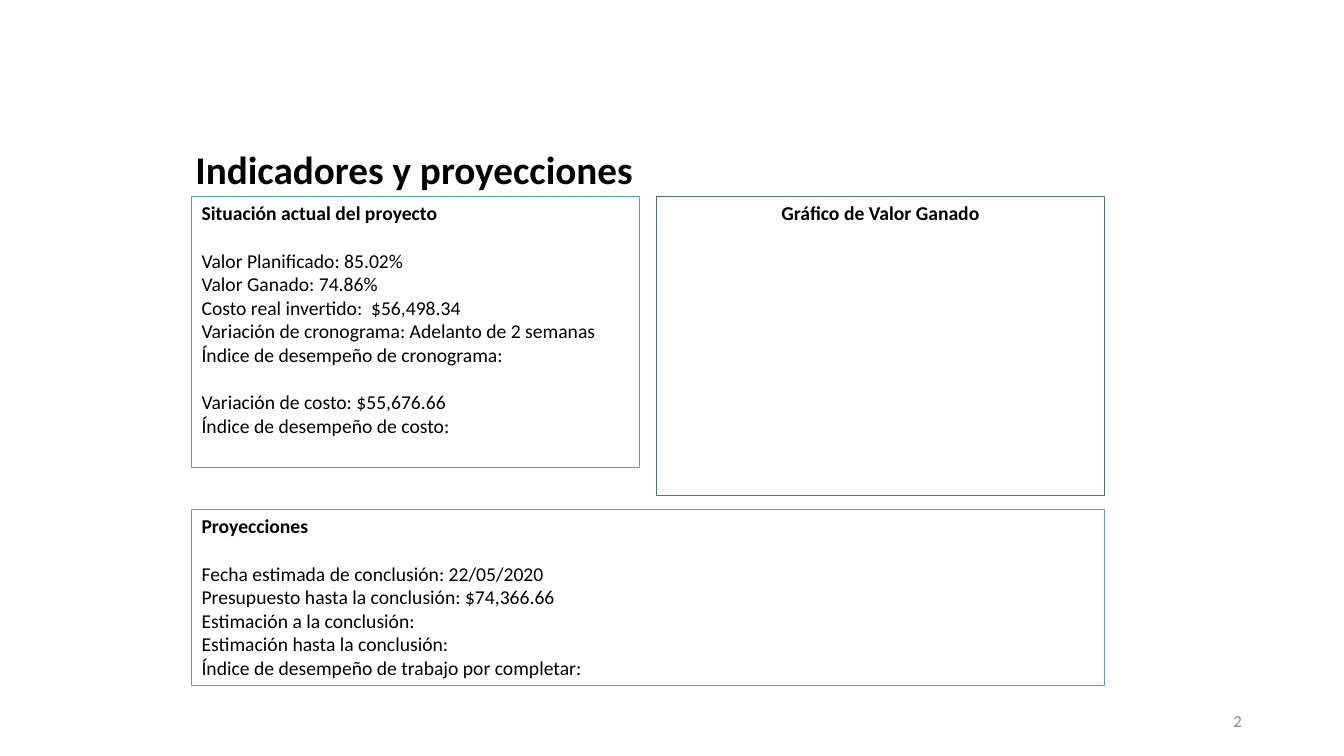
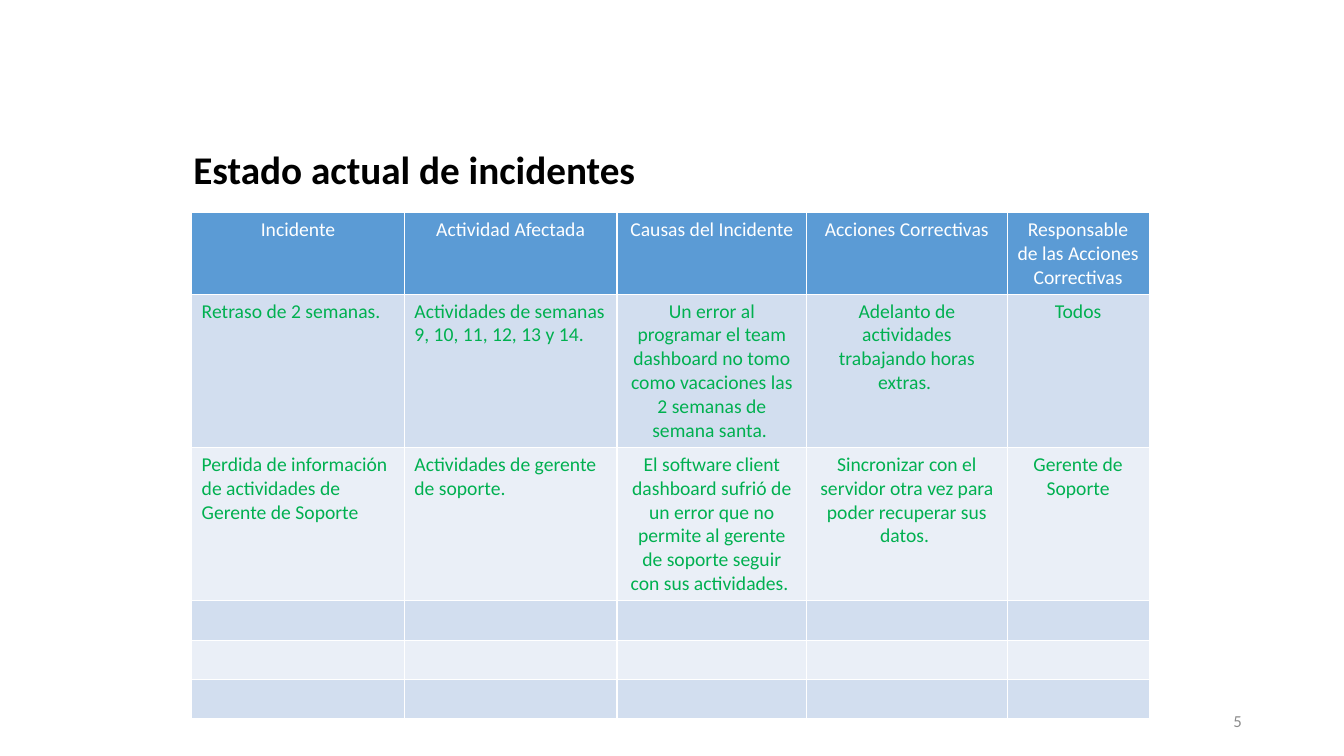
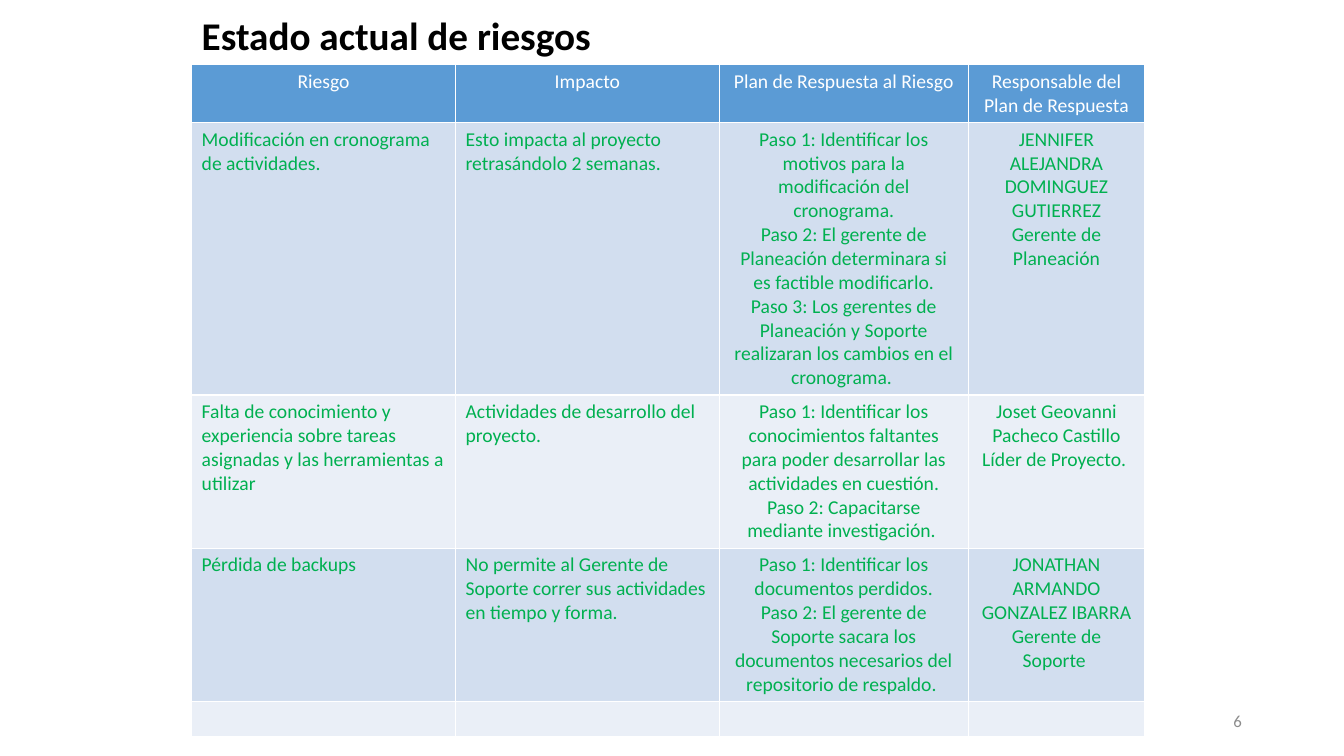
from lxml import etree
from pptx import Presentation
from pptx import util as u
from pptx.dml.color import RGBColor
from pptx.enum import shapes, text
from pptx.oxml.ns import qn

FONT = "Calibri"
COLORS = {
    "text": "000000", "number": "8C8C8C", "white": "FFFFFF", "entry": "00B050",
    "header": "5B9BD5", "odd": "D2DEEF", "even": "EAEFF7", "chart_line": "43739E",
}
LEFT = 4.83
BOX_WIDTH, BOX_GAP = 11.3, 0.41
LEFT_COLUMNS = 2

SITUATION = [
    ["Situación actual del proyecto"],
    ["Valor Planificado: 85.02%",
     "Valor Ganado: 74.86%",
     "Costo real invertido:  $56,498.34 ",
     "Variación de cronograma: Adelanto de 2 semanas",
     "Índice de desempeño de cronograma:"],
    ["Variación de costo: $55,676.66",
     "Índice de desempeño de costo:"],
]
PROJECTIONS = [
    ["Proyecciones"],
    ["Fecha estimada de conclusión: 22/05/2020",
     "Presupuesto hasta la conclusión: $74,366.66",
     "Estimación a la conclusión:",
     "Estimación hasta la conclusión:",
     "Índice de desempeño de trabajo por completar:"],
]
EARNED_VALUE = [["Gráfico de Valor Ganado"]]

BOXES = [
    (SITUATION, (LEFT, 4.95, BOX_WIDTH, 6.83), "header", 0.75, "LEFT"),
    (PROJECTIONS, (LEFT, 12.83, 2 * BOX_WIDTH + BOX_GAP, 4.45), "header", 0.75, "LEFT"),
    (EARNED_VALUE, (LEFT + BOX_WIDTH + BOX_GAP, 4.95, BOX_WIDTH, 7.54), "chart_line", 0.25, "CENTER"),
]

INCIDENTS = {
    "top": 5.36,
    "columns": [5.36, 5.36, 4.78, 5.05, 3.58],
    "heights": [2.05, 3.85, 3.85, 0.99, 0.99, 0.99],
    "rows": [
        ["Incidente", "Actividad Afectada", "Causas del Incidente", "Acciones Correctivas",
         "Responsable de las Acciones Correctivas"],
        ["Retraso de 2 semanas.",
         "Actividades de semanas 9, 10, 11, 12, 13 y 14.",
         "Un error al programar el team dashboard no tomo como vacaciones las 2 semanas de semana santa. ",
         "Adelanto de actividades trabajando horas extras. ",
         "Todos"],
        ["Perdida de información de actividades de Gerente de Soporte ",
         "Actividades de gerente de soporte. ",
         "El software client dashboard sufrió de un error que no permite al gerente de soporte "
         "seguir con sus actividades. ",
         "Sincronizar con el servidor otra vez para poder recuperar sus datos. ",
         "Gerente de Soporte"],
    ],
}
RISKS = {
    "top": 1.63,
    "columns": [6.65, 6.65, 6.27, 4.45],
    "heights": [1.45, 6.85, 3.85, 3.85, 0.89],
    "rows": [
        ["Riesgo", "Impacto", "Plan de Respuesta al Riesgo", "Responsable del Plan de Respuesta"],
        ["Modificación en cronograma de actividades.",
         "Esto impacta al proyecto retrasándolo 2 semanas.",
         "Paso 1: Identificar los motivos para la modificación del cronograma.\n"
         "Paso 2: El gerente de Planeación determinara si es factible modificarlo.\n"
         "Paso 3: Los gerentes de Planeación y Soporte realizaran los cambios en el cronograma. ",
         "JENNIFER ALEJANDRA DOMINGUEZ GUTIERREZ\nGerente de Planeación"],
        ["Falta de conocimiento y experiencia sobre tareas asignadas y las herramientas a utilizar",
         "Actividades de desarrollo del proyecto. ",
         "Paso 1: Identificar los conocimientos faltantes para poder desarrollar las actividades en cuestión.\n"
         "Paso 2: Capacitarse mediante investigación. ",
         "Joset Geovanni Pacheco Castillo\nLíder de Proyecto. "],
        ["Pérdida de backups",
         "No permite al Gerente de Soporte correr sus actividades en tiempo y forma.",
         "Paso 1: Identificar los documentos perdidos.\n"
         "Paso 2: El gerente de Soporte sacara los documentos necesarios del repositorio de respaldo. ",
         "JONATHAN ARMANDO GONZALEZ IBARRA Gerente de Soporte "],
    ],
}


def color(name):
    return RGBColor.from_string(COLORS[name])


def add_paragraph(frame, index, words, size=14, ink="text", bold=False, align="LEFT"):
    paragraph = frame.add_paragraph() if index else frame.paragraphs[0]
    paragraph.alignment = text.PP_ALIGN[align]
    if not words:
        etree.SubElement(paragraph._p, qn("a:endParaRPr"), sz=str(size * 100))
        return paragraph
    run = paragraph.add_run()
    run.text = words
    run.font.name = FONT
    run.font.size = u.Pt(size)
    run.font.bold = bold
    run.font.color.rgb = color(ink)
    return paragraph


def setup_frame(shape, anchor):
    frame = shape.text_frame
    frame.word_wrap = True
    frame.auto_size = text.MSO_AUTO_SIZE.NONE
    frame.vertical_anchor = anchor
    return frame


def add_slide(title, left, top, number):
    slide = presentation.slides.add_slide(presentation.slide_layouts[5])
    heading = slide.shapes.title
    heading.left, heading.top, heading.width, heading.height = map(u.Cm, (left, top, 21.59, 0.99))
    frame = setup_frame(heading, text.MSO_ANCHOR.MIDDLE)
    add_paragraph(frame, 0, title, 28, bold=True)
    page = slide.shapes.add_textbox(*map(u.Cm, (23.93, 17.65, 7.62, 1.02)))
    frame = setup_frame(page, text.MSO_ANCHOR.MIDDLE)
    add_paragraph(frame, 0, number, 12, "number", align="RIGHT")
    return slide


def add_box(slide, groups, place, line, weight, align):
    box = slide.shapes.add_shape(shapes.MSO_SHAPE.RECTANGLE, *map(u.Cm, place))
    box.shadow.inherit = False
    box.fill.background()
    box.line.color.rgb = color(line)
    box.line.width = u.Pt(weight)
    frame = setup_frame(box, text.MSO_ANCHOR.TOP)
    index = 0
    for group_index, group in enumerate(groups):
        for line_index, words in enumerate(group):
            paragraph = add_paragraph(frame, index, words, bold=group_index == 0, align=align)
            if group_index and line_index == 0:
                paragraph.space_before = u.Pt(17)
            index += 1


def add_status_table(slide, top, columns, heights, rows):
    table = slide.shapes.add_table(
        len(heights), len(columns), *map(u.Cm, (LEFT, top, sum(columns), sum(heights)))).table
    for column, width in zip(table.columns, columns):
        column.width = u.Cm(width)
    for row_index, height in enumerate(heights):
        table.rows[row_index].height = u.Cm(height)
        entries = rows[row_index] if row_index < len(rows) else [""] * len(columns)
        fill = "header" if row_index == 0 else "odd" if row_index % 2 else "even"
        for column_index, entry in enumerate(entries):
            cell = table.cell(row_index, column_index)
            cell.fill.solid()
            cell.fill.fore_color.rgb = color(fill)
            align = "LEFT" if row_index and column_index < LEFT_COLUMNS else "CENTER"
            for index, words in enumerate(entry.split("\n")):
                add_paragraph(cell.text_frame, index, words,
                              ink="entry" if row_index else "white", align=align)


presentation = Presentation()
presentation.slide_width = u.Cm(33.87)
presentation.slide_height = u.Cm(19.05)

indicators = add_slide("Indicadores y proyecciones", 4.67, 3.76, "2")
for box_content in BOXES:
    add_box(indicators, *box_content)

add_status_table(add_slide("Estado actual de incidentes", 4.62, 3.76, "5"), **INCIDENTS)
add_status_table(add_slide("Estado actual de riesgos", LEFT, 0.38, "6"), **RISKS)

presentation.save("out.pptx")
